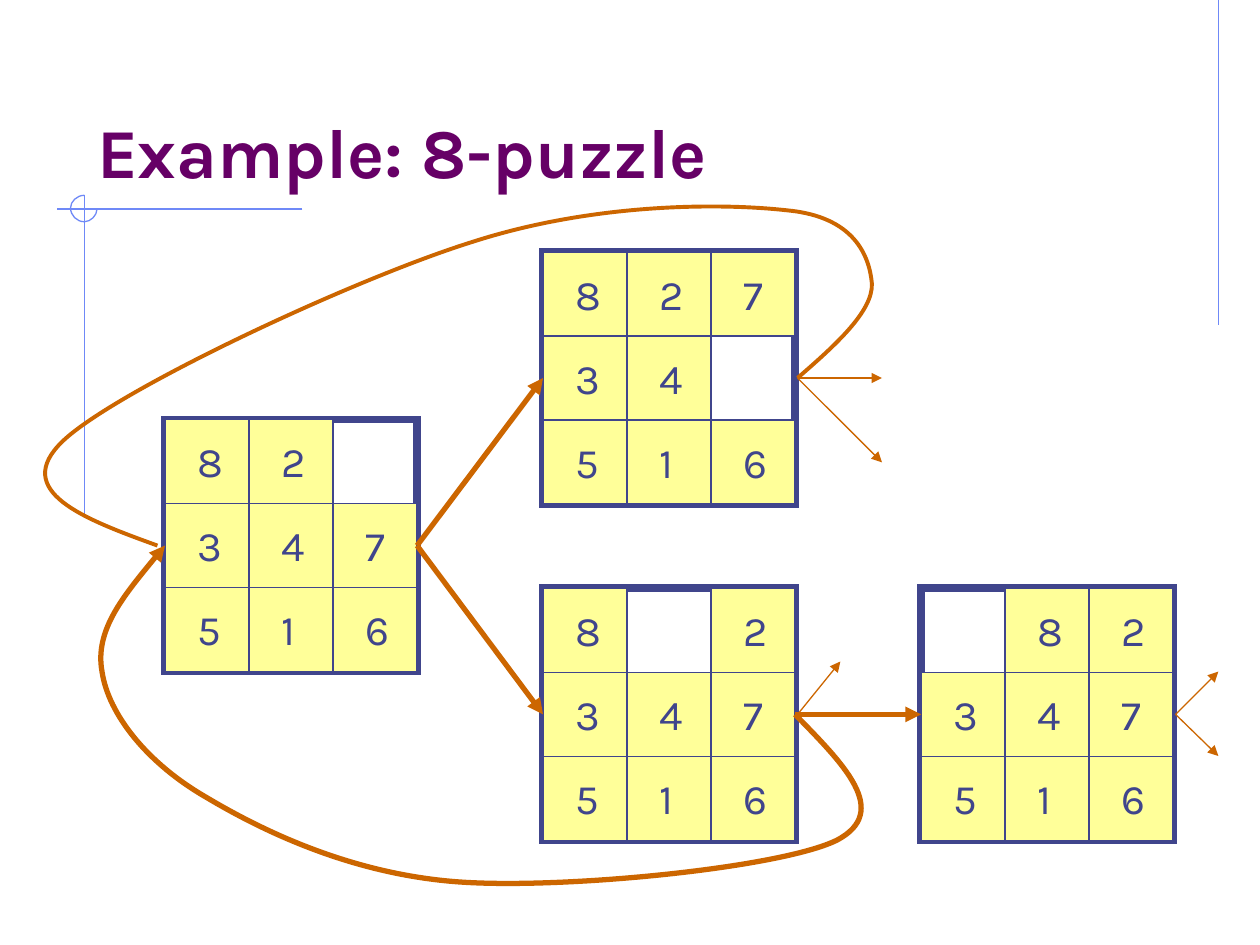
from pptx import Presentation
from pptx.dml.color import RGBColor
from pptx.enum.shapes import MSO_CONNECTOR, MSO_SHAPE
from pptx.enum.text import MSO_ANCHOR, MSO_AUTO_SIZE, PP_ALIGN
from pptx.oxml.ns import qn
from pptx.util import Inches, Pt
from lxml import etree

LINE = MSO_CONNECTOR.STRAIGHT
RECT = MSO_SHAPE.RECTANGLE
BOTTOM = MSO_ANCHOR.BOTTOM
GROW = MSO_AUTO_SIZE.SHAPE_TO_FIT_TEXT
LEFT = PP_ALIGN.LEFT
WEST, EAST = 1, 3

FONT = "Karla"
COLORS = {"title": "660066", "rule": "6F89F7", "ink": "40458C",
          "tile": "FFFF99", "move": "CC6600"}
SIDE = 2
CELL = SIDE / 3

# Left, top and rows of each board; a space is the empty cell
BOARDS = {
    "start": (1.31, 3.33, ("82 ", "347", "516")),
    "left": (4.31, 4.67, ("8 2", "347", "516")),
    "down": (4.31, 2, ("827", "34 ", "516")),
    "far": (7.31, 4.67, (" 82", "347", "516")),
}
MOVES = [("start", "down"), ("start", "left"), ("left", "far")]
RULES = [((9.67, 0), (9.67, 2.58)), ((2.4, 1.66), (0.45, 1.66)),
         ((0.67, 1.55), (0.67, 4.09))]
STUBS = [((6.33, 3), (7, 3)), ((6.33, 3), (7, 3.67)),
         ((9.33, 5.67), (9.67, 5.33)), ((9.33, 5.67), (9.67, 6)),
         ((6.33, 5.67), (6.67, 5.25))]

# Curves: a start point, then two handles and an end point per piece
RING = [(0.67, 1.55), (0.61, 1.55), (0.56, 1.6), (0.56, 1.65),
        (0.56, 1.71), (0.61, 1.76), (0.67, 1.76),
        (0.72, 1.76), (0.77, 1.71), (0.77, 1.66)]
LOW = [(6.31, 5.67), (6.69, 6.06), (7.08, 6.44), (6.64, 6.67),
       (6.19, 6.89), (4.47, 7.06), (3.64, 7),
       (2.81, 6.94), (2.11, 6.61), (1.64, 6.33),
       (1.17, 6.06), (0.86, 5.67), (0.81, 5.33),
       (0.75, 5), (1.03, 4.67), (1.31, 4.33)]
HIGH = [(6.33, 3), (6.63, 2.74), (6.93, 2.47), (6.92, 2.25),
        (6.9, 2.03), (6.78, 1.72), (6.25, 1.67),
        (5.72, 1.61), (4.71, 1.61), (3.75, 1.92),
        (2.79, 2.22), (0.92, 3.1), (0.5, 3.5),
        (0.08, 3.9), (0.67, 4.12), (1.25, 4.33)]


def color(name):
    return RGBColor.from_string(COLORS[name])


def set_font(para, size, name, bold=False):
    para.alignment = LEFT
    para.font.name = FONT
    para.font.size = Pt(size)
    para.font.bold = bold
    para.font.color.rgb = color(name)


def set_line(shape, name, width, arrow=False):
    shape.line.color.rgb = color(name)
    shape.line.width = Pt(width)
    if arrow:
        tail = etree.SubElement(shape.line._get_or_add_ln(), qn("a:tailEnd"))
        tail.set("type", "triangle")


def add_title(slide, text):
    title = slide.shapes.title
    title.left, title.top = Inches(0.67), Inches(0.33)
    title.width, title.height = Inches(8.5), Inches(1.25)
    frame = title.text_frame
    frame.text = text
    frame.vertical_anchor = BOTTOM
    set_font(frame.paragraphs[0], 40, "title", True)


def add_line(slide, start, end, name, width, arrow=False):
    ends = [Inches(v) for v in (*start, *end)]
    line = slide.shapes.add_connector(LINE, *ends)
    set_line(line, name, width, arrow)
    etree.SubElement(line._element.spPr, qn("a:effectLst"))
    return line


def add_move(slide, source, target):
    line = add_line(slide, (0, 0), (1, 1), "move", 3, True)
    line.begin_connect(source, EAST)
    line.end_connect(target, WEST)


def bend(shape):
    """Turn each three straight pieces into one cubic curve."""
    legs = list(shape._element.iter(qn("a:lnTo")))
    for i in range(0, len(legs), 3):
        curve = etree.Element(qn("a:cubicBezTo"))
        legs[i].addprevious(curve)
        for leg in legs[i:i + 3]:
            curve.append(leg[0])
            leg.getparent().remove(leg)


def add_curve(slide, knots, name, width, arrow=False):
    first, *rest = [(Inches(x), Inches(y)) for x, y in knots]
    pen = slide.shapes.build_freeform(*first)
    pen.add_line_segments(rest, close=False)
    curve = pen.convert_to_shape()
    bend(curve)
    curve.shadow.inherit = False
    curve.fill.background()
    set_line(curve, name, width, arrow)


def add_square(slide, x, y, size, width, fill=None):
    square = slide.shapes.add_shape(
        RECT, Inches(x), Inches(y), Inches(size), Inches(size))
    square.shadow.inherit = False
    if fill:
        square.fill.solid()
        square.fill.fore_color.rgb = color(fill)
    else:
        square.fill.background()
    set_line(square, "ink", width)
    # Sharp corners
    miter = etree.SubElement(square.line._get_or_add_ln(), qn("a:miter"))
    miter.set("lim", "800000")
    return square


def add_digit(slide, x, y, text):
    box = slide.shapes.add_textbox(
        Inches(x), Inches(y), Inches(0.39), Inches(0.5))
    frame = box.text_frame
    frame.word_wrap = False
    frame.auto_size = GROW
    frame.text = text
    set_font(frame.paragraphs[0], 24, "ink")


def add_board(slide, left, top, rows):
    border = add_square(slide, left, top, SIDE, 4.5)
    cells = [(left + c * CELL, top + r * CELL, digit)
             for r, row in enumerate(rows)
             for c, digit in enumerate(row) if digit != " "]
    for x, y, _ in cells:
        add_square(slide, x, y, CELL, 0.75, "tile")
    for x, y, digit in sorted(cells, key=lambda cell: cell[2]):
        add_digit(slide, x + 0.16, y + 0.08, digit)
    return border


def main():
    deck = Presentation()
    deck.slide_width, deck.slide_height = Inches(10), Inches(7.5)
    slide = deck.slides.add_slide(deck.slide_layouts[5])

    # Corner rules and title
    for start, end in RULES:
        add_line(slide, start, end, "rule", 0.75)
    add_curve(slide, RING, "rule", 0.75)
    add_title(slide, "Example: 8-puzzle")

    # Puzzle states
    boards = {key: add_board(slide, *board) for key, board in BOARDS.items()}

    # Moves between states, and back to the start
    for source, target in MOVES:
        add_move(slide, boards[source], boards[target])
    add_curve(slide, LOW, "move", 3, True)
    for start, end in STUBS:
        add_line(slide, start, end, "move", 0.75, True)
    add_curve(slide, HIGH, "move", 2.25)

    deck.save("out.pptx")


if __name__ == "__main__":
    main()
